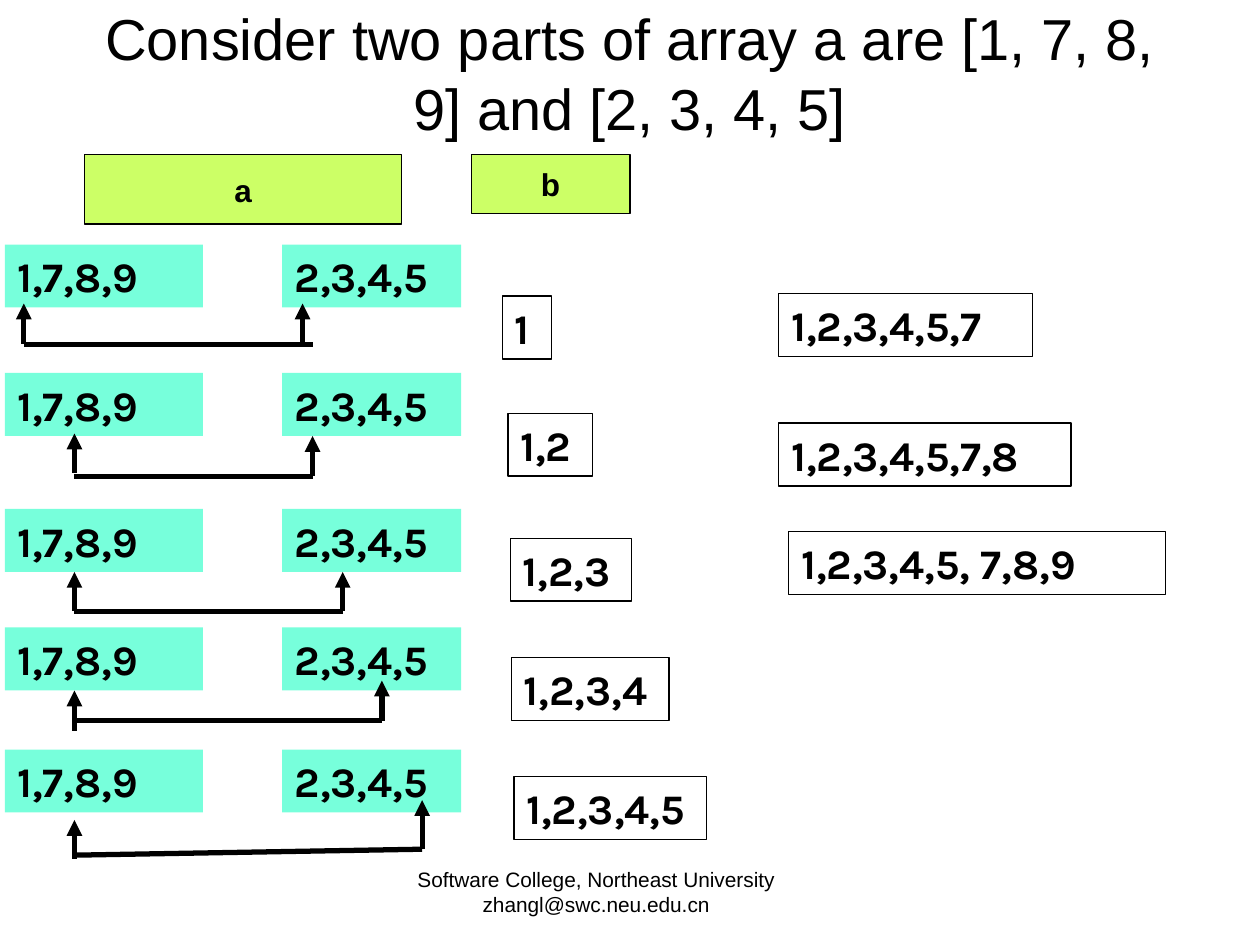
from lxml.etree import SubElement
from pptx import Presentation
from pptx.dml.color import RGBColor
from pptx.enum.shapes import MSO_CONNECTOR, MSO_SHAPE
from pptx.enum.text import MSO_ANCHOR, PP_ALIGN
from pptx.oxml.ns import qn
from pptx.util import Cm, Pt

COLORS = {"ink": "000000", "paper": "FFFFFF", "half": "77FFDB", "header": "CCFF66"}
BOX_HEIGHT = 1.27
HALVES = [("1,7,8,9", 0, 3.99), ("2,3,4,5", 5.59, 3.61)]
ROW_LEFT, ROW_WIDTH = 0.1, 9.2

# fmt: off
MERGE_STEPS = [
    {"top": 4.93, "arrows": [(0.38, 1.19, 2.01), (6, 1.19, 2.01)], "bar": (0.38, 2.01, 6.2, 2.01)},
    {"top": 7.52, "arrows": [(1.4, 1.22, 2.01), (6.2, 1.27, 2.08)], "bar": (1.4, 2.08, 6.2, 2.08)},
    {"top": 10.26, "arrows": [(1.4, 1.27, 2.06), (6.81, 1.27, 2.06)], "bar": (1.4, 2.06, 6.81, 2.06)},
    {"top": 12.65, "arrows": [(1.4, 1.27, 2.08), (7.6, 1.07, 1.88)], "bar": (1.4, 1.88, 7.6, 1.88)},
    {"top": 15.11, "arrows": [(1.4, 1.42, 2.21), (8.41, 1.02, 2.01)], "bar": (1.4, 2.13, 8.41, 2.01)},
]
# fmt: on
OUTPUTS = [
    ("1", 10.13, 5.97, 0.99),
    ("1,2", 10.24, 8.33, 1.7),
    ("1,2,3", 10.29, 10.85, 2.44),
    ("1,2,3,4", 10.31, 13.26, 3.18),
    ("1,2,3,4,5", 10.36, 15.65, 3.89),
]
REMAINDERS = [
    ("1,2,3,4,5,7", 15.7, 5.92, 5.11),
    ("1,2,3,4,5,7,8", 15.7, 8.53, 5.89),
    ("1,2,3,4,5, 7,8,9", 15.9, 10.72, 7.59),
]


def color(name):
    return RGBColor.from_string(COLORS[name])


def write_text(shape, text, size=24, font="Karla", bold=True, align=PP_ALIGN.LEFT,
               anchor=MSO_ANCHOR.TOP, wrap=True):
    frame = shape.text_frame
    frame.word_wrap = wrap
    frame.vertical_anchor = anchor
    paragraph = frame.paragraphs[0]
    paragraph.alignment = align
    run = paragraph.add_run()
    run.text = text
    run.font.size = Pt(size)
    run.font.name = font
    run.font.bold = bold
    run.font.color.rgb = color("ink")


def add_caption(slide, box, text, **text_format):
    shape = slide.shapes.add_textbox(*map(Cm, box))
    write_text(shape, text, font="Arial", bold=False, align=PP_ALIGN.CENTER, **text_format)


def add_box(slide, box, text, fill="paper", outlined=True, **text_format):
    shape = slide.shapes.add_shape(MSO_SHAPE.RECTANGLE, *map(Cm, box))
    shape.shadow.inherit = False
    shape.fill.solid()
    shape.fill.fore_color.rgb = color(fill)
    if outlined:
        shape.line.color.rgb = color("ink")
        shape.line.width = Pt(0.75)
    else:
        shape.line.fill.background()
    write_text(shape, text, **text_format)


def add_line(slide, start_x, start_y, end_x, end_y, arrow=False):
    points = map(Cm, (start_x, start_y, end_x, end_y))
    connector = slide.shapes.add_connector(MSO_CONNECTOR.STRAIGHT, *points)
    connector.line.color.rgb = color("ink")
    connector.line.width = Pt(3)
    if arrow:
        SubElement(connector.line._get_or_add_ln(), qn("a:headEnd"), type="triangle")
    SubElement(connector._element.spPr, qn("a:effectLst"))


def add_header(slide, box, text):
    add_box(slide, box, text, fill="header", size=18, font="Arial",
            align=PP_ALIGN.CENTER, anchor=MSO_ANCHOR.MIDDLE, wrap=False)


def add_merge_step(slide, box, arrows, bar):
    left, top, _, height = box
    for text, offset, width in HALVES:
        add_box(slide, (left + offset, top, width, height), text, fill="half", outlined=False)
    for x, tip, tail in arrows:
        add_line(slide, left + x, top + tip, left + x, top + tail, arrow=True)
    start_x, start_y, end_x, end_y = bar
    add_line(slide, left + start_x, top + start_y, left + end_x, top + end_y)


def add_results(slide, results, wrap):
    for text, left, top, width in results:
        add_box(slide, (left, top, width, BOX_HEIGHT), text, wrap=wrap)


def main():
    presentation = Presentation()
    presentation.slide_width = Cm(25.4)
    presentation.slide_height = Cm(19.05)
    slide = presentation.slides.add_slide(presentation.slide_layouts[6])

    add_caption(slide, (1.27, 0.76, 22.86, 1.4),
                "Consider two parts of array a are [1, 7, 8, 9] and [2, 3, 4, 5]",
                size=33, anchor=MSO_ANCHOR.MIDDLE)
    add_header(slide, (1.7, 3.12, 6.4, 1.4), "a")
    add_header(slide, (9.5, 3.12, 3.2, 1.19), "b")
    for step in MERGE_STEPS:
        box = (ROW_LEFT, step["top"], ROW_WIDTH, BOX_HEIGHT)
        add_merge_step(slide, box, step["arrows"], step["bar"])
    add_results(slide, OUTPUTS, wrap=False)
    add_results(slide, REMAINDERS, wrap=True)
    add_caption(slide, (6.91, 17.35, 10.21, 1.32),
                "Software College, Northeast University zhangl@swc.neu.edu.cn", size=11.9)

    presentation.save("out.pptx")


if __name__ == "__main__":
    main()
